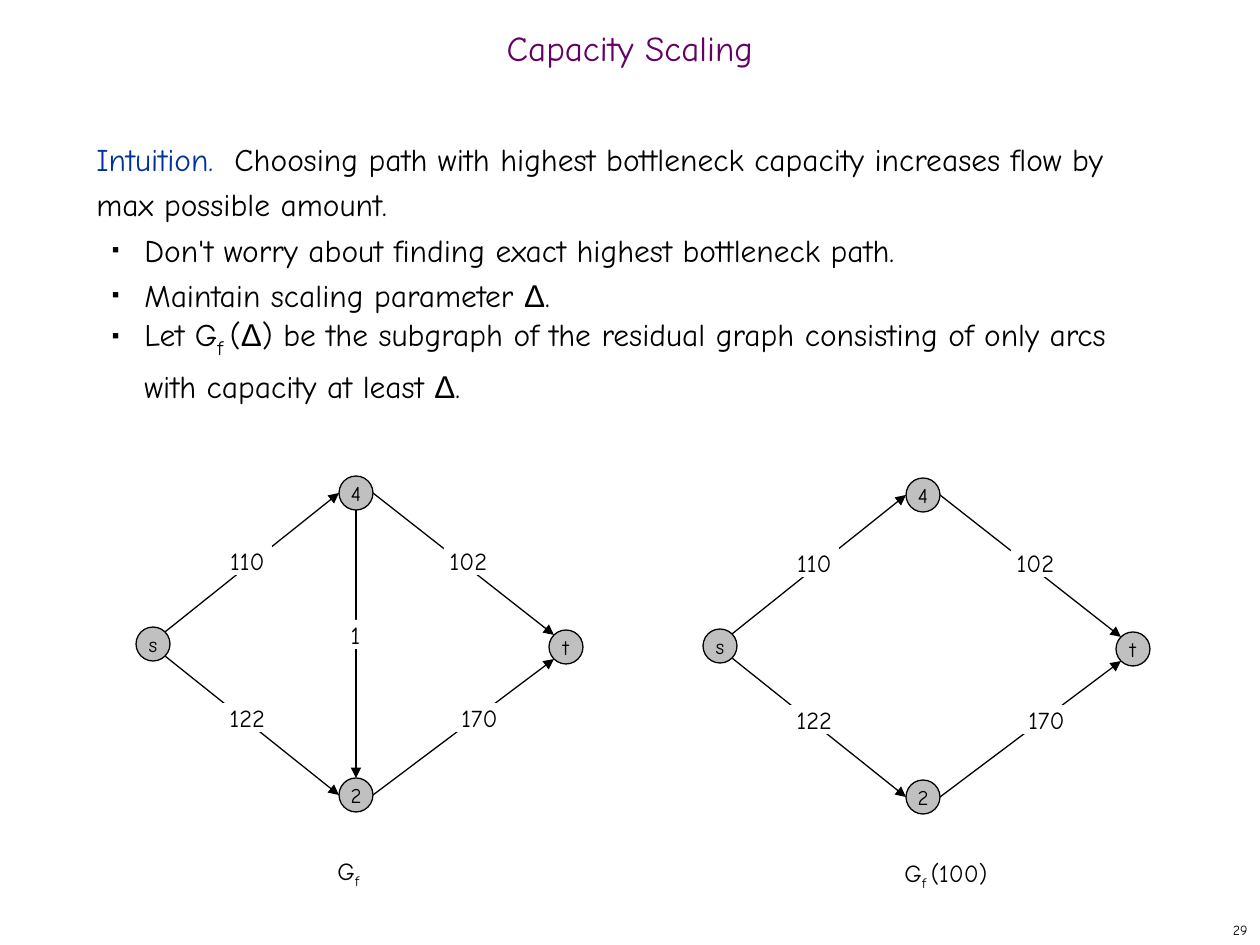
from lxml import etree
from pptx import Presentation
from pptx.dml.color import RGBColor
from pptx.enum.shapes import MSO_CONNECTOR, MSO_SHAPE
from pptx.enum.text import MSO_ANCHOR, PP_ALIGN
from pptx.oxml.ns import qn
from pptx.util import Pt

PX = 914400 / 126
STRAIGHT = MSO_CONNECTOR.STRAIGHT
OVAL, RECT = MSO_SHAPE.OVAL, MSO_SHAPE.RECTANGLE
TOP, MIDDLE = MSO_ANCHOR.TOP, MSO_ANCHOR.MIDDLE
LEFT, CENTER, RIGHT = PP_ALIGN.LEFT, PP_ALIGN.CENTER, PP_ALIGN.RIGHT

BLACK = RGBColor(0, 0, 0)
WHITE = RGBColor(0xFF, 0xFF, 0xFF)
GRAY = RGBColor(0xC0, 0xC0, 0xC0)
PURPLE = RGBColor(0x66, 0, 0x66)
BLUE = RGBColor(0, 0x33, 0x99)
FONT, SYMBOL_FONT = "Comic Neue", "Arial"

NODE = 34
NODES = {"s": (0, 151), "4": (203, 0), "2": (203, 302), "t": (413, 154)}
# from node, its side, to node, its side; a side is a direction from the centre
DIAG = 0.71
EDGES = [
    ("s", (DIAG, -DIAG), "4", (-1, 0)),
    ("s", (DIAG, DIAG), "2", (-1, 0)),
    ("4", (1, 0), "t", (-DIAG, -DIAG)),
    ("2", (1, 0), "t", (-DIAG, DIAG)),
]
MIDDLE_EDGE = ("4", (0, 1), "2", (0, -1))
LABEL_W, LABEL_H = 49, 29
LABELS = [("110", 87, 70), ("122", 87, 227), ("102", 308, 70), ("170", 319, 227)]
MIDDLE_LABEL = ("1", 195, 144)


def px(*values):
    return [round(v * PX) for v in values]


def add_run(p, text, size, color=BLACK, font=FONT, sub=False):
    r = p.add_run()
    r.text = text
    r.font.size = Pt(size)
    r.font.name = font
    r.font.color.rgb = color
    if sub:
        r._r.get_or_add_rPr().set("baseline", "-25000")


def add_text(slide, box, runs, align=LEFT, anchor=TOP):
    """Add a text box with one paragraph; each run is a tuple for add_run."""
    tf = slide.shapes.add_textbox(*px(*box)).text_frame
    tf.word_wrap = True
    tf.vertical_anchor = anchor
    p = tf.paragraphs[0]
    p.alignment = align
    for run in runs:
        add_run(p, *run)
    return tf


def add_bullet(p):
    pPr = p._p.get_or_add_pPr()
    margin, indent = px(48, -32)
    pPr.set("marL", str(margin))
    pPr.set("indent", str(indent))
    color = etree.SubElement(pPr, qn("a:buClr"))
    etree.SubElement(color, qn("a:srgbClr"), val=str(BLACK))
    etree.SubElement(pPr, qn("a:buSzPct"), val="35000")
    etree.SubElement(pPr, qn("a:buFont"), typeface=SYMBOL_FONT)
    etree.SubElement(pPr, qn("a:buChar"), char="■")


def add_body(slide, box):
    delta = ("Δ", 18, BLACK, SYMBOL_FONT)
    tf = add_text(slide, box, [
        ("Intuition.  ", 18, BLUE),
        ("Choosing path with highest bottleneck capacity increases flow by "
         "max possible amount.", 18),
    ])
    tf.paragraphs[0].line_spacing = Pt(26)
    bullets = [
        [("Don't worry about finding exact highest bottleneck path.", 18)],
        [("Maintain scaling parameter ", 18), delta, (".", 18)],
        [("Let G", 18), ("f ", 20, BLACK, FONT, True), ("(", 18), delta,
         (") be the subgraph of the residual graph consisting of only arcs "
          "with capacity at least ", 18), delta, (".", 18)],
    ]
    for runs in bullets:
        p = tf.add_paragraph()
        add_bullet(p)
        p.line_spacing = Pt(26)
        for run in runs:
            add_run(p, *run)


def add_shape(slide, kind, box, fill, text, size, outline=None):
    sp = slide.shapes.add_shape(kind, *px(*box))
    sp.shadow.inherit = False
    sp.fill.solid()
    sp.fill.fore_color.rgb = fill
    if outline is None:
        sp.line.fill.background()
    else:
        sp.line.color.rgb = outline
        sp.line.width = Pt(0.75)
    tf = sp.text_frame
    tf.margin_left = tf.margin_right = tf.margin_top = tf.margin_bottom = 0
    tf.word_wrap = False
    tf.vertical_anchor = MIDDLE
    p = tf.paragraphs[0]
    p.alignment = CENTER
    add_run(p, text, size)


def add_arrow(slide, x1, y1, x2, y2):
    line = slide.shapes.add_connector(STRAIGHT, *px(x1, y1, x2, y2))
    line.line.color.rgb = BLACK
    line.line.width = Pt(0.75)
    etree.SubElement(line.line._get_or_add_ln(), qn("a:tailEnd"), type="triangle")
    etree.SubElement(line._element.spPr, qn("a:effectLst"))


def add_graph(slide, left, top, edges, labels, caption, caption_w):
    """Draw a flow network whose box starts at left, top."""
    def node_side(name, side):
        x, y = NODES[name]
        r = NODE / 2
        return left + x + r + side[0] * r, top + y + r + side[1] * r

    for start, start_side, end, end_side in edges:
        add_arrow(slide, *node_side(start, start_side), *node_side(end, end_side))
    for name, (x, y) in NODES.items():
        add_shape(slide, OVAL, (left + x, top + y, NODE, NODE), GRAY, name, 12, BLACK)
    for text, x, y in labels:
        add_shape(slide, RECT, (left + x, top + y, LABEL_W, LABEL_H), WHITE, text, 14)
    add_text(slide, (left + 189, top + 374, caption_w, 47), caption)


def main():
    prs = Presentation()
    prs.slide_width, prs.slide_height = px(1260, 945)
    slide = prs.slides.add_slide(prs.slide_layouts[6])

    title = add_text(slide, (0, 21, 1260, 63), [("Capacity Scaling", 20, PURPLE)],
                     CENTER, MIDDLE)
    title.paragraphs[0].line_spacing = 0.7
    add_body(slide, (84, 126, 1081, 746))
    add_graph(slide, 136, 476, EDGES + [MIDDLE_EDGE], LABELS + [MIDDLE_LABEL],
              [("G", 14), ("f", 14, BLACK, FONT, True)], 84)
    add_graph(slide, 703, 478, EDGES, LABELS,
              [("G", 14), ("f ", 14, BLACK, FONT, True), ("(100)", 14)], 158)
    add_text(slide, (998, 914, 262, 31), [("29", 8)], RIGHT, MIDDLE)
    prs.save("out.pptx")


if __name__ == "__main__":
    main()
